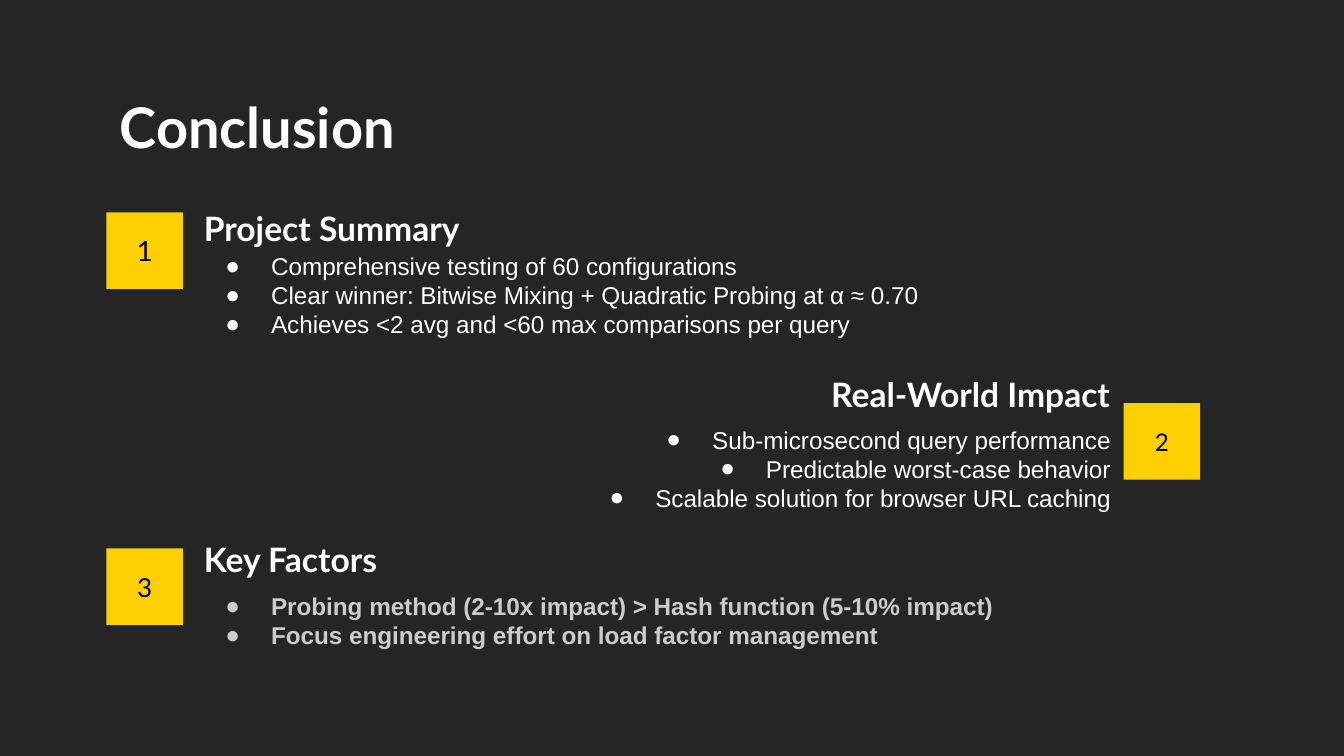
from collections import namedtuple

from lxml.etree import SubElement
from pptx import Presentation
from pptx.dml.color import RGBColor
from pptx.enum.shapes import MSO_SHAPE as Shape
from pptx.enum.text import MSO_ANCHOR as Anchor, MSO_AUTO_SIZE as AutoSize, PP_ALIGN as Align
from pptx.oxml.ns import qn
from pptx.util import Pt

DARK = RGBColor(0x25, 0x25, 0x25)
YELLOW = RGBColor(0xFF, 0xCF, 0x00)
WHITE = RGBColor(0xFF, 0xFF, 0xFF)
GREY = RGBColor(0xCC, 0xCC, 0xCC)
BLACK = RGBColor(0x00, 0x00, 0x00)
HEADING_FONT, BODY_FONT = "Lato", "Arial"
BADGE = 41
HEADING_HEIGHT = 33.8
LIST_HEIGHT = 56
INSET = 7.2

Box = namedtuple("Box", "left top width height")
Section = namedtuple(
    "Section", "number heading points box badge_drop list_drop badge_size mirrored color bold",
    defaults=(False, WHITE, False))

SECTIONS = [
    Section("1", "Project Summary",
            ["Comprehensive testing of 60 configurations",
             "Clear winner: Bitwise Mixing + Quadratic Probing at α ≈ 0.70",
             "Achieves <2 avg and <60 max comparisons per query"],
            Box(57, 104.4, 494.5, 80), 9.4, 23, 15),
    Section("2", "Real-World Impact",
            ["Sub-microsecond query performance",
             "Predictable worst-case behavior",
             "Scalable solution for browser URL caching"],
            Box(152.6, 193, 490.4, 80), 23, 27.4, 13, mirrored=True),
    Section("3", "Key Factors",
            ["Probing method (2-10x impact) > Hash function (5-10% impact)",
             "Focus engineering effort on load factor management"],
            Box(57, 281.5, 494.5, 80), 12.3, 28.1, 14, color=GREY, bold=True),
]


def add_bullet(para, color):
    """Give a paragraph a hanging round bullet."""
    props = para._p.get_or_add_pPr()
    props.set("marL", str(Pt(36)))
    props.set("indent", str(Pt(-24.5)))
    fill = SubElement(props, qn("a:buClr"))
    SubElement(fill, qn("a:srgbClr"), val=str(color))
    SubElement(props, qn("a:buFont"), typeface=BODY_FONT)
    SubElement(props, qn("a:buChar"), char="●")


def write_text(shape, lines, size, font=HEADING_FONT, color=WHITE, bold=False,
               align=Align.LEFT, anchor=Anchor.TOP, bullets=False, spacing=None):
    """Fill a shape with one formatted paragraph for each line."""
    frame = shape.text_frame
    frame.word_wrap = True
    frame.auto_size = AutoSize.NONE
    frame.vertical_anchor = anchor
    frame.margin_left = frame.margin_right = Pt(INSET)
    frame.margin_top = frame.margin_bottom = Pt(INSET)
    for index, line in enumerate(lines):
        para = frame.add_paragraph() if index else frame.paragraphs[0]
        if bullets:
            add_bullet(para, color)
        para.alignment = align
        para.line_spacing = spacing
        span = para.add_run()
        span.text = line
        span.font.name, span.font.size, span.font.bold = font, Pt(size), bold
        span.font.color.rgb = color


def add_title(page, box, text):
    """Place and format the title placeholder."""
    title = page.shapes.title
    title.left, title.top, title.width, title.height = map(Pt, box)
    write_text(title, [text], 30, bold=True)


def add_badge(page, left, top, number, size):
    """Draw a numbered yellow square."""
    badge = page.shapes.add_shape(Shape.RECTANGLE, Pt(left), Pt(top), Pt(BADGE), Pt(BADGE))
    badge.shadow.inherit = False
    badge.fill.solid()
    badge.fill.fore_color.rgb = YELLOW
    badge.line.fill.background()
    write_text(badge, [number], size, color=BLACK, align=Align.CENTER, anchor=Anchor.MIDDLE)


def add_section(page, box, section):
    """Place a badge, heading and bullet list within a box."""
    text_width = 449.3
    spare = box.width - text_width
    text_left = box.left if section.mirrored else box.left + spare
    badge_left = box.left + box.width - BADGE if section.mirrored else box.left
    align = Align.RIGHT if section.mirrored else Align.LEFT
    add_badge(page, badge_left, box.top + section.badge_drop, section.number, section.badge_size)
    heading = page.shapes.add_textbox(Pt(text_left), Pt(box.top), Pt(text_width), Pt(HEADING_HEIGHT))
    write_text(heading, [section.heading], 18, bold=True, align=align)
    points = page.shapes.add_textbox(
        Pt(text_left), Pt(box.top + section.list_drop), Pt(text_width), Pt(LIST_HEIGHT))
    write_text(points, section.points, 13, font=BODY_FONT, color=section.color,
               bold=section.bold, align=align, bullets=True, spacing=Pt(15.6))


def main():
    """Build the conclusion slide and save it."""
    deck = Presentation()
    deck.slide_width, deck.slide_height = Pt(720), Pt(405)
    page = deck.slides.add_slide(deck.slide_layouts[5])
    page.background.fill.solid()
    page.background.fill.fore_color.rgb = DARK
    add_title(page, Box(57, 42.5, 607, 45.4), "Conclusion")
    for section in SECTIONS:
        add_section(page, section.box, section)
    deck.save("out.pptx")


if __name__ == "__main__":
    main()
